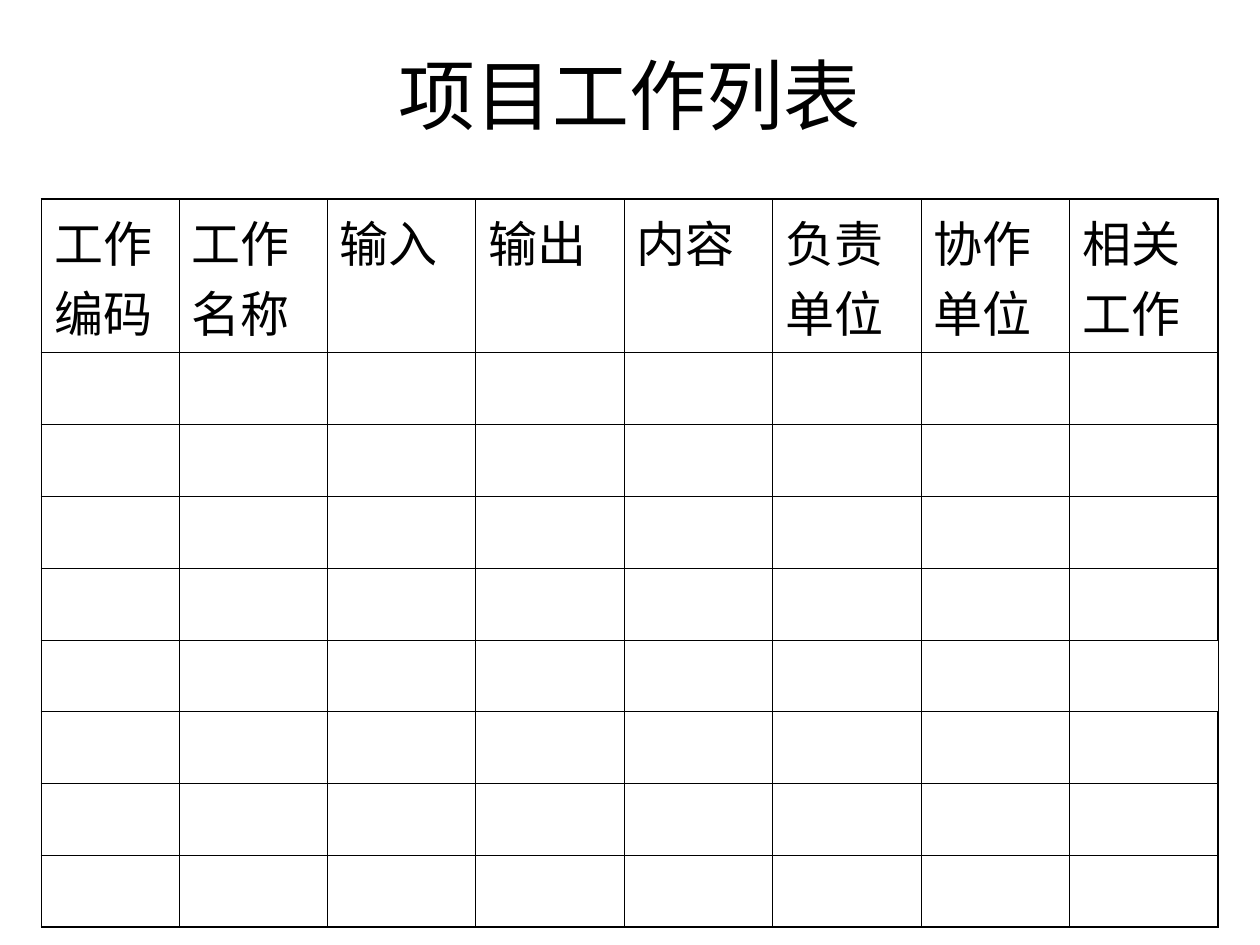
"""Build the project work list slide."""
import dataclasses

import pptx
import pptx.dml.color
import pptx.enum.text
import pptx.oxml
import pptx.oxml.ns
import pptx.util

Inches = pptx.util.Inches
Pt = pptx.util.Pt


@dataclasses.dataclass(frozen=True)
class Theme:
    """Hold the colours, type sizes and line widths."""
    font: str = "Cabin"
    ink: str = "000000"
    title: int = 44
    head: int = 28
    thin: float = 0.45
    thick: float = 1.08


THEME = Theme()
HEADS = ["工作编码", "工作名称", "输入", "输出", "内容", "负责单位", "协作单位", "相关工作"]
ROWS = 9
THIN_END = 5


def apply(target, values):
    """Set each named value on the target."""
    for name, value in values.items():
        setattr(target, name, value)


def write(frame, text, size, align):
    """Put one styled line of text in a frame."""
    line = frame.paragraphs[0]
    line.alignment = align
    run = line.add_run()
    run.text = text
    apply(run.font, {"name": THEME.font, "size": Pt(size)})
    run.font.color.rgb = pptx.dml.color.RGBColor.from_string(THEME.ink)


def add_title(slide, text):
    """Add the centred title."""
    box = slide.shapes.add_textbox(Inches(0.75), Inches(0.08), Inches(8.5), Inches(1.33))
    apply(box.text_frame, {
        "word_wrap": True,
        "vertical_anchor": pptx.enum.text.MSO_ANCHOR.MIDDLE,
    })
    write(box.text_frame, text, THEME.title, pptx.enum.text.PP_ALIGN.CENTER)


def edge(cell, sides):
    """Draw the cell borders from a dict of side and width."""
    props = cell._tc.get_or_add_tcPr()
    space = pptx.oxml.ns.nsdecls("a")
    for spot, (side, width) in enumerate(sides.items()):
        props.insert(spot, pptx.oxml.parse_xml(
            f'<a:ln{side} {space} w="{Pt(width)}"><a:solidFill>'
            f'<a:srgbClr val="{THEME.ink}"/></a:solidFill></a:ln{side}>'))


def add_grid(slide, heads, count):
    """Add the table with its head row and empty rows."""
    wide, first, last = 9.34, 1.09, len(heads) - 1
    top, body = 1.22, 0.57
    high = top + body * (count - 1)
    table = slide.shapes.add_table(
        count, len(heads), Inches(0.33), Inches(1.58), Inches(wide), Inches(high)).table
    apply(table, {"first_row": False, "horz_banding": False})
    for col, column in enumerate(table.columns):
        column.width = Inches((wide - first) / last if col else first)
    for row, band in enumerate(table.rows):
        band.height = Inches(body if row else top)
        for col, cell in enumerate(band.cells):
            cell.fill.background()
            outer = {"L": col == 0, "R": col == last and row != THIN_END,
                     "T": row == 0, "B": row == count - 1}
            edge(cell, {side: THEME.thick if out else THEME.thin
                        for side, out in outer.items()})
    for cell, text in zip(table.rows[0].cells, heads):
        write(cell.text_frame, text, THEME.head, pptx.enum.text.PP_ALIGN.LEFT)


def main():
    """Build and save the deck."""
    deck = pptx.Presentation()
    apply(deck, {"slide_width": Inches(10), "slide_height": Inches(7.5)})
    slide = deck.slides.add_slide(deck.slide_layouts[6])
    add_title(slide, "项目工作列表")
    add_grid(slide, HEADS, ROWS)
    deck.save("out.pptx")


if __name__ == "__main__":
    main()
